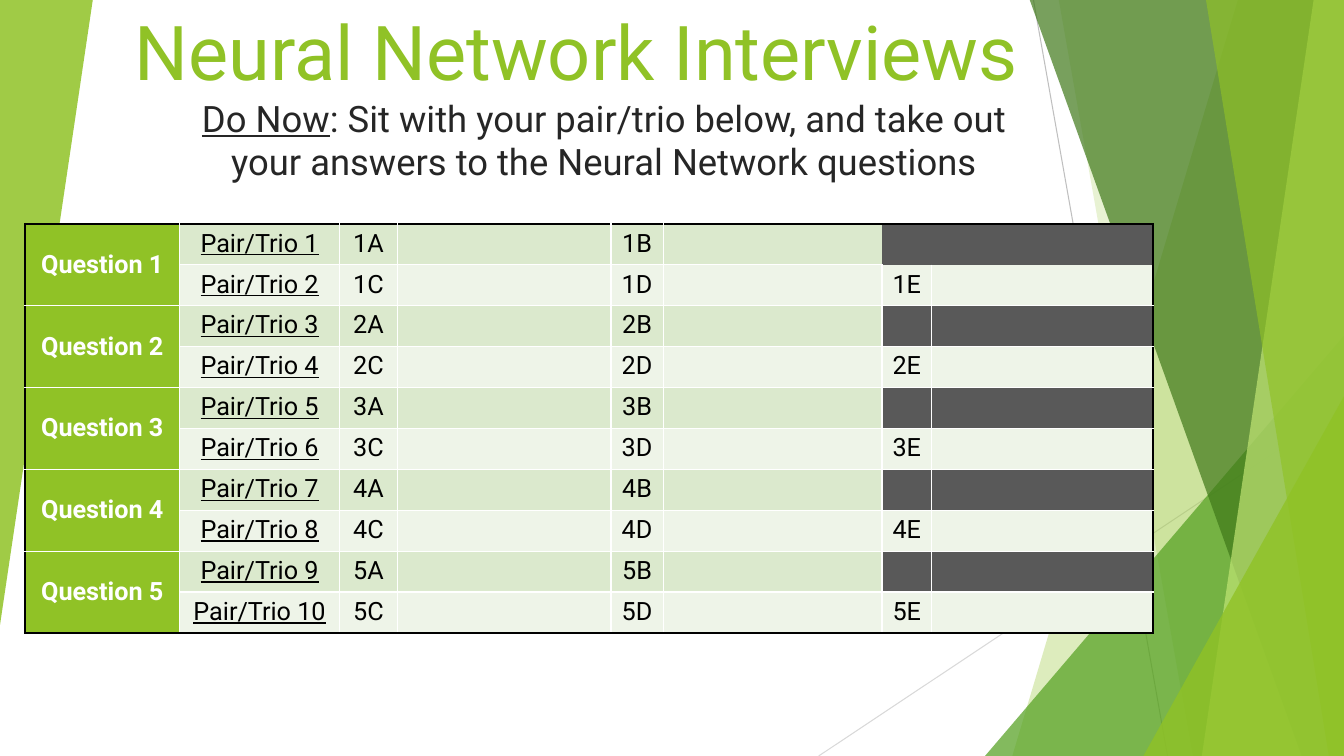
from dataclasses import dataclass
from lxml.etree import SubElement
from pptx import Presentation
from pptx.dml.color import RGBColor
from pptx.enum.shapes import MSO_CONNECTOR, MSO_SHAPE
from pptx.enum.text import MSO_ANCHOR, PP_ALIGN
from pptx.oxml.ns import qn
from pptx.util import Inches, Pt


@dataclass(frozen=True)
class Theme:
    """Colours, font and type sizes of the slide."""
    font: str = "Roboto"
    title: int = 54
    lead: int = 26
    body: int = 18
    lime: str = "90C226"
    green: str = "54A021"
    forest: str = "3F7819"
    pale: str = "C0E474"
    band: str = "DBE9CD"
    light: str = "EEF4E8"
    shade: str = "595959"
    ink: str = "262626"
    black: str = "000000"
    white: str = "FFFFFF"
    lines: tuple = ("BFBFBF", "D9D9D9")


theme = Theme()


def write(frame, text, size=theme.body, color=theme.black, bold=False,
          under=False, align=PP_ALIGN.CENTER):
    """Add a formatted run to the first paragraph of a text frame."""
    para = frame.paragraphs[0]
    para.alignment = align
    run = para.add_run()
    run.text = text
    font = run.font
    font.name, font.size = theme.font, Pt(size)
    font.bold, font.underline = bold, under
    font.color.rgb = RGBColor.from_string(color)


def paint(shape, color, alpha):
    """Give a shape a see-through fill, without line or shadow."""
    shape.shadow.inherit = False
    shape.line.fill.background()
    shape.fill.solid()
    shape.fill.fore_color.rgb = RGBColor.from_string(color)
    tint = shape.fill._xPr.find(qn("a:solidFill"))[0]
    SubElement(tint, qn("a:alpha"), val=str(alpha * 1000))


deck = Presentation()
deck.slide_width, deck.slide_height = Inches(13.33), Inches(7.5)
slide = deck.slides.add_slide(deck.slide_layouts[6])
shapes = slide.shapes

# Thin lines behind the facets
ends = [(10.25, 0, 11.58, 7.5), (13.33, 4.03, 8.12, 7.5)]
for points, color in zip(ends, theme.lines):
    line = shapes.add_connector(MSO_CONNECTOR.STRAIGHT, *map(Inches, points))
    line.line.color.rgb = RGBColor.from_string(color)
    line.line.width = Pt(0.75)
    SubElement(line._element.spPr, qn("a:effectLst"))

# Facets: a slanted left edge (top x, foot x) or a triangle (box, turn)
facets = [
    ((12.28, 10.04), None, theme.lime, 30),
    ((10.5, 11.83), None, theme.lime, 20),
    ((9.77, 3.33, 3.56, 4.17), 0, theme.green, 72),
    ((10.21, 12.91), None, theme.forest, 70),
    ((13.03, 11.92), None, theme.pale, 70),
    ((11.96, 13.18), None, theme.lime, 65),
    ((11.34, 3.93, 1.99, 3.57), 0, theme.lime, 80),
    ((0, 0, 0.92, 6.2), 180, theme.lime, 85),
]
for place, turn, color, alpha in facets:
    if turn is None:
        top, foot = place
        edge = [(13.33, -0.01), (13.33, 7.5), (foot, 7.5)]
        pen = shapes.build_freeform(Inches(top), Inches(-0.01))
        pen.add_line_segments([(Inches(x), Inches(y)) for x, y in edge])
        facet = pen.convert_to_shape()
    else:
        facet = shapes.add_shape(MSO_SHAPE.ISOSCELES_TRIANGLE, *map(Inches, place))
        facet.adjustments[0] = 1
        facet.rotation = turn
    paint(facet, color, alpha)

# Title and task
title = shapes.add_textbox(*map(Inches, (0.87, 0, 9.33, 1))).text_frame
title.word_wrap = True
title.vertical_anchor = MSO_ANCHOR.BOTTOM
write(title, "Neural Network Interviews", size=theme.title, color=theme.lime,
      align=PP_ALIGN.RIGHT)

task = shapes.add_textbox(*map(Inches, (1.75, 0.9, 8.49, 1.2))).text_frame
task.word_wrap = True
task.paragraphs[0].space_before = Pt(10)
write(task, "Do Now", size=theme.lead, color=theme.ink, under=True)
write(task, ": Sit with your pair/trio below, and take out your answers "
      "to the Neural Network questions", size=theme.lead, color=theme.ink)

# Seating table: two rows for each question
widths = [1.53, 1.59, 0.57, 2.12, 0.52, 2.17, 0.49, 2.2]
rows, cols = 10, len(widths)
table = shapes.add_table(rows, cols, *map(Inches, (0.25, 2.22, 11.19, 4.06))).table
for col, width in zip(table.columns, widths):
    col.width = Inches(width)
for row in table.rows:
    row.height = Inches(0.406)
for row in range(0, rows, 2):
    table.cell(row, 0).merge(table.cell(row + 1, 0))

for row in range(rows):
    group, lower = divmod(row, 2)
    seats = {2: "C", 4: "D", 6: "E"} if lower else {2: "A", 4: "B"}
    for col in range(cols):
        cell = table.cell(row, col)
        last = row + 1 if cell.is_merge_origin else row
        bare = row == 0 and col > 5
        outer = {"L": col == 0, "R": col == cols - 1,
                 "T": row == 0, "B": last == rows - 1}
        hidden = {"L": bare, "R": bare or (row, col) == (0, 5),
                  "T": row == 1 and col > 5, "B": bare}
        props = cell._tc.get_or_add_tcPr()
        for side in "LRTB":
            wide = Pt(1.5 if outer[side] else 1)
            rule = SubElement(props, qn("a:ln" + side), w=str(wide))
            if hidden[side] and not outer[side]:
                SubElement(rule, qn("a:noFill"))
            else:
                fill = SubElement(rule, qn("a:solidFill"))
                SubElement(fill, qn("a:srgbClr"),
                           val=theme.black if outer[side] else theme.white)

        color = theme.light if lower else theme.band
        if col == 0:
            color = theme.lime
        elif col > 5 and not lower:
            color = theme.shade
        cell.fill.solid()
        cell.fill.fore_color.rgb = RGBColor.from_string(color)

        if cell.is_merge_origin:
            cell.vertical_anchor = MSO_ANCHOR.MIDDLE
            write(cell.text_frame, f"Question {group + 1}", color=theme.white, bold=True)
        elif col == 1:
            write(cell.text_frame, f"Pair/Trio {row + 1}", under=True)
        elif col in seats:
            write(cell.text_frame, f"{group + 1}{seats[col]}")

deck.save("out.pptx")
